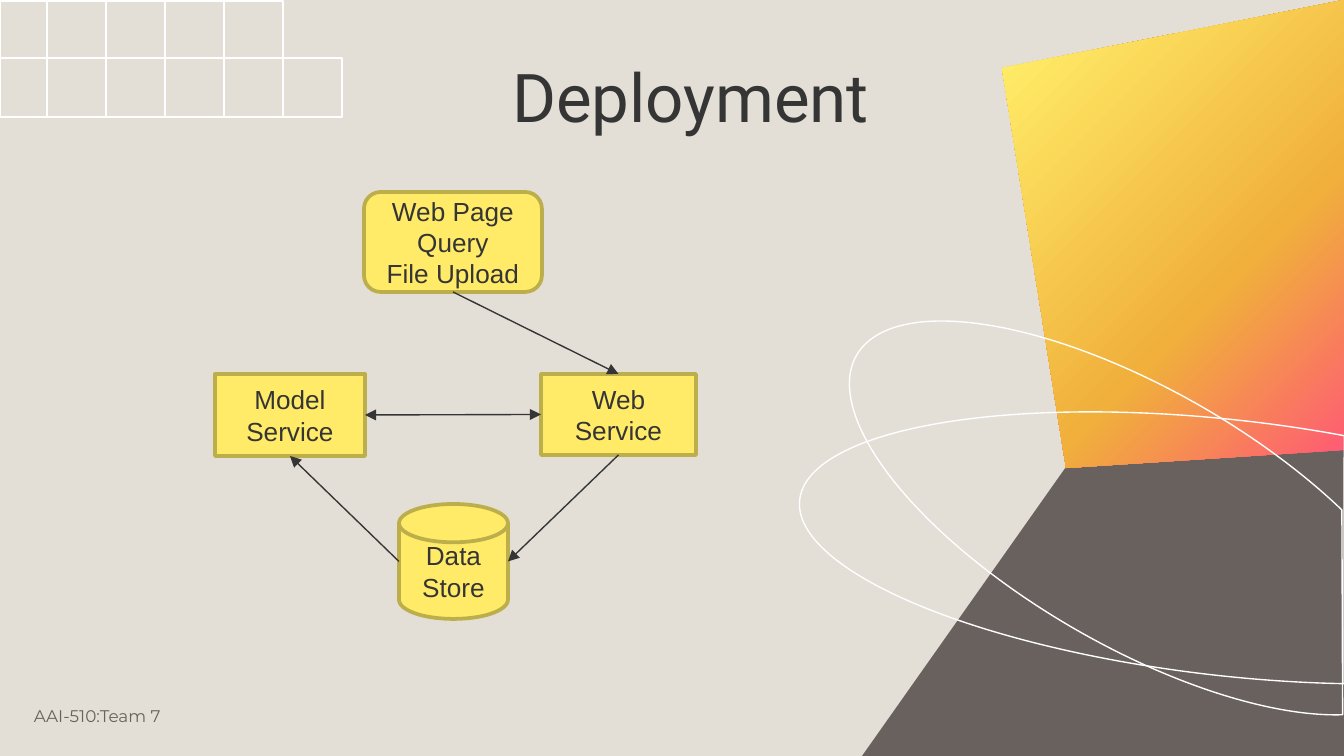
import pptx
import pptx.dml.color
import pptx.enum.shapes
import pptx.enum.text
import pptx.oxml
import pptx.oxml.ns
import pptx.util

RGB = pptx.dml.color.RGBColor
SHAPE = pptx.enum.shapes.MSO_SHAPE
ALIGN = pptx.enum.text.PP_ALIGN
ANCHOR = pptx.enum.text.MSO_ANCHOR

PAGE_WIDTH, PAGE_HEIGHT = 1344, 756
EMU_PER_PX = 9144000 / PAGE_WIDTH

SAND = RGB(0xE3, 0xDF, 0xD6)
STONE = RGB(0x69, 0x61, 0x5E)
INK = RGB(0x35, 0x35, 0x35)
WHITE = RGB(0xFF, 0xFF, 0xFF)
YELLOW = RGB(0xFF, 0xEB, 0x67)
OLIVE = RGB(0xBD, 0xAE, 0x4C)
AMBER = RGB(0xF0, 0xB0, 0x3B)
PINK = RGB(0xFF, 0x57, 0x77)

TOP, BOTTOM, LEFT, RIGHT = (0.5, 0), (0.5, 1), (0, 0.5), (1, 0.5)


def px(length):
    return pptx.util.Emu(round(length * EMU_PER_PX))


def style_text(frame, font, size, color, align, anchor, inset):
    frame.word_wrap = True
    frame.auto_size = pptx.enum.text.MSO_AUTO_SIZE.NONE
    frame.vertical_anchor = anchor
    frame.margin_left = frame.margin_right = px(inset)
    frame.margin_top = frame.margin_bottom = px(inset)
    for para in frame.paragraphs:
        para.alignment = align
        for span in para.runs:
            span.font.name = font
            span.font.size = pptx.util.Pt(size)
            span.font.color.rgb = color


def set_title(page, text, left, top, width, height):
    title = page.shapes.title
    title.left, title.top, title.width, title.height = map(px, (left, top, width, height))
    title.text_frame.text = text
    style_text(title.text_frame, "Roboto", 36, INK, ALIGN.LEFT, ANCHOR.TOP, 13)


def add_label(page, text, left, top, width, height):
    box = page.shapes.add_textbox(*map(px, (left, top, width, height)))
    box.text_frame.text = text
    style_text(box.text_frame, "Montserrat", 9, STONE, ALIGN.LEFT, ANCHOR.MIDDLE, 0)


def add_polygon(page, points):
    builder = page.shapes.build_freeform(*points[0], scale=EMU_PER_PX)
    builder.add_line_segments(points[1:], close=True)
    polygon = builder.convert_to_shape()
    polygon.shadow.inherit = False
    polygon.line.fill.background()
    return polygon


def fill_gradient(shape, stops, angle):
    shape.fill.gradient()
    shape.fill.gradient_angle = angle
    stop_list = shape._element.spPr.find(".//" + pptx.oxml.ns.qn("a:gsLst"))
    for stop in list(stop_list):
        stop_list.remove(stop)
    for percent, color in stops:
        stop_list.append(pptx.oxml.parse_xml(
            f'<a:gs {pptx.oxml.ns.nsdecls("a")} pos="{percent * 1000}">'
            f'<a:srgbClr val="{color}"/></a:gs>'))


def add_outline(page, kind, left, top, width, height):
    outline = page.shapes.add_shape(kind, *map(px, (left, top, width, height)))
    outline.shadow.inherit = False
    outline.fill.background()
    outline.line.color.rgb = WHITE
    outline.line.width = pptx.util.Pt(0.75)
    return outline


def add_grid(page):
    columns = [0] + [47 + 59 * step for step in range(6)]
    for top, bottom, count in ((1, 58, 5), (58, 117, 6)):
        for left, right in zip(columns[:count], columns[1:]):
            add_outline(page, SHAPE.RECTANGLE, left, top, right - left, bottom - top)


def add_orbit(page, left, top, width, height, rotation, start, end):
    orbit = add_outline(page, SHAPE.CHORD, left, top, width, height)
    orbit.rotation = rotation
    orbit.adjustments[0] = start
    orbit.adjustments[1] = end


def add_node(page, kind, text, left, top, width, height):
    node = page.shapes.add_shape(kind, *map(px, (left, top, width, height)))
    node.shadow.inherit = False
    node.fill.solid()
    node.fill.fore_color.rgb = YELLOW
    node.line.color.rgb = OLIVE
    node.line.width = pptx.util.Pt(2)
    node.text_frame.text = text
    style_text(node.text_frame, "Arial", 14, INK, ALIGN.CENTER, ANCHOR.MIDDLE, 10)
    return node


def side_point(node, side):
    across, down = side
    return (round(node.left + node.width * across),
            round(node.top + node.height * down))


def add_arrow(page, source, source_side, target, target_side, both_ends=False):
    arrow = page.shapes.add_connector(
        pptx.enum.shapes.MSO_CONNECTOR.STRAIGHT,
        *side_point(source, source_side), *side_point(target, target_side))
    arrow.line.color.rgb = INK
    arrow.line.width = pptx.util.Pt(0.75)
    line = arrow.line._get_or_add_ln()
    for end in ("headEnd", "tailEnd") if both_ends else ("tailEnd",):
        line.append(pptx.oxml.parse_xml(
            f'<a:{end} {pptx.oxml.ns.nsdecls("a")} type="triangle"/>'))
    arrow._element.spPr.append(pptx.oxml.parse_xml(
        f'<a:effectLst {pptx.oxml.ns.nsdecls("a")}/>'))


def add_backdrop(page):
    page.background.fill.solid()
    page.background.fill.fore_color.rgb = SAND
    floor = add_polygon(page, [(1344, 450), (1344, 756), (862, 756), (1066, 467)])
    floor.fill.solid()
    floor.fill.fore_color.rgb = STONE
    wall = add_polygon(page, [(1066, 468), (1002, 68), (1344, 0), (1344, 450)])
    fill_gradient(wall, [(0, PINK), (37, AMBER), (92, YELLOW), (100, YELLOW)], 135)
    add_grid(page)
    add_orbit(page, 797, 420, 864, 256, 6.4, 26.01, 185.61)
    add_orbit(page, 813, 390, 651, 256, 30, 8.37, 196.65)


def add_diagram(page):
    model = add_node(page, SHAPE.RECTANGLE, "Model Service", 215, 374, 150, 82)
    store = add_node(page, SHAPE.FLOWCHART_MAGNETIC_DISK, "Data Store", 399, 504, 109, 115)
    service = add_node(page, SHAPE.RECTANGLE, "Web Service", 541, 374, 155, 81)
    web_page = add_node(page, SHAPE.ROUNDED_RECTANGLE, "Web Page\nQuery\nFile Upload",
                        364, 192, 178, 100)
    add_arrow(page, service, LEFT, model, RIGHT, both_ends=True)
    add_arrow(page, web_page, BOTTOM, service, TOP)
    add_arrow(page, service, BOTTOM, store, RIGHT)
    add_arrow(page, store, LEFT, model, BOTTOM)


def main():
    deck = pptx.Presentation()
    deck.slide_width, deck.slide_height = px(PAGE_WIDTH), px(PAGE_HEIGHT)
    page = deck.slides.add_slide(deck.slide_layouts[5])
    add_backdrop(page)
    set_title(page, "Deployment", 499, 42, 418, 105)
    add_label(page, "AAI-510:Team 7", 34, 702, 285, 28)
    add_diagram(page)
    deck.save("out.pptx")


if __name__ == "__main__":
    main()
